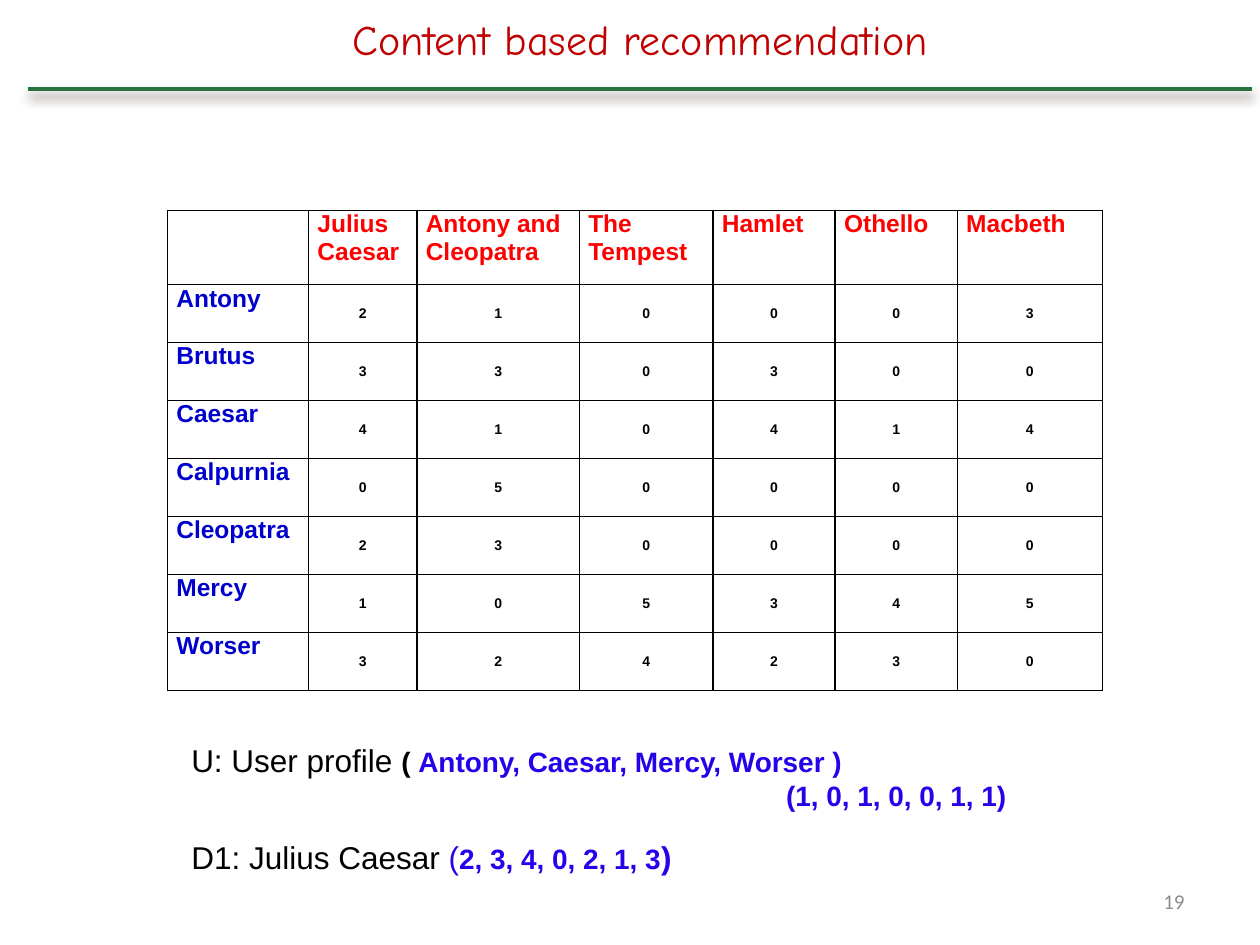
"""Build the content based recommendation slide."""
from dataclasses import dataclass
from typing import Sequence

from lxml.etree import SubElement
from pptx import Presentation
from pptx.dml.color import RGBColor
from pptx.enum.shapes import MSO_CONNECTOR as Connector
from pptx.enum.text import MSO_ANCHOR as Anchor, PP_ALIGN as Align
from pptx.oxml import parse_xml
from pptx.oxml.ns import nsdecls, qn
from pptx.util import Inches, Pt


@dataclass(frozen=True)
class Theme:
    body_font: str = "Arial"
    title_font: str = "Comic Neue"
    number_font: str = "Calibri"
    black: str = "000000"
    title: str = "C00000"
    play: str = "FF0000"
    term: str = "0000CC"
    vector: str = "2403EB"
    rule: str = "28723B"
    rule_shadow: str = "4E3B30"
    number: str = "8C8C8C"
    title_size: int = 24
    label_size: int = 18
    vector_size: int = 16
    heading_size: int = 14
    number_size: int = 12
    count_size: int = 8


THEME = Theme()


@dataclass(frozen=True)
class Span:
    text: str
    size: int
    color: str
    bold: bool = False
    font: str = THEME.body_font


@dataclass(frozen=True)
class Line:
    spans: Sequence[Span]
    align: Align = Align.LEFT
    indent: float = 0


@dataclass(frozen=True)
class TextBlock:
    left: float
    top: float
    width: float
    height: float
    lines: Sequence[Line]
    anchor: Anchor = Anchor.TOP


PLAYS = ("Julius Caesar", "Antony and Cleopatra", "The Tempest", "Hamlet", "Othello", "Macbeth")
COUNTS = {
    "Antony": (2, 1, 0, 0, 0, 3),
    "Brutus": (3, 3, 0, 3, 0, 0),
    "Caesar": (4, 1, 0, 4, 1, 4),
    "Calpurnia": (0, 5, 0, 0, 0, 0),
    "Cleopatra": (2, 3, 0, 0, 0, 0),
    "Mercy": (1, 0, 5, 3, 4, 5),
    "Worser": (3, 2, 4, 2, 3, 0),
}
COLUMN_WIDTHS = (1.12, 0.86, 1.29, 1.06, 0.97, 0.97, 1.15)
HEADER_HEIGHT, ROW_HEIGHT = 0.59, 0.46


def label(text: str, color: str = THEME.black) -> Span:
    """Return a plain label span."""
    return Span(text, THEME.label_size, color)


def vector(text: str, color: str = THEME.vector) -> Span:
    """Return a bold vector span."""
    return Span(text, THEME.vector_size, color, True)


TEXT_BLOCKS = (
    TextBlock(0.73, 0.06, 8.7, 0.5, [Line(
        [Span("Content based recommendation", THEME.title_size, THEME.title, font=THEME.title_font)],
        Align.CENTER)]),
    TextBlock(1.42, 5.83, 7.33, 0.67, [
        Line([label("U: User profile "), vector("( ", THEME.black),
              vector("Antony, Caesar, Mercy, Worser )")]),
        Line([vector("(1, 0, 1, 0, 0, 1, 1)")], indent=4.72)]),
    TextBlock(1.42, 6.6, 7.25, 0.4, [Line(
        [label("D1: Julius Caesar "), label("(", THEME.vector), vector("2, 3, 4, 0, 2, 1, 3"),
         Span(")", THEME.label_size, THEME.vector, True)])]),
    TextBlock(7.17, 6.95, 2.33, 0.4, [Line(
        [Span("19", THEME.number_size, THEME.number, font=THEME.number_font)],
        Align.RIGHT)], Anchor.MIDDLE),
)


def write_line(paragraph, line: Line) -> None:
    """Write the spans of one line into a paragraph."""
    paragraph.alignment = line.align
    if line.indent:
        paragraph._p.get_or_add_pPr().set("marL", str(Inches(line.indent)))
    for span in line.spans:
        run = paragraph.add_run()
        run.text = span.text
        run.font.name = span.font
        run.font.size = Pt(span.size)
        run.font.bold = span.bold
        run.font.color.rgb = RGBColor.from_string(span.color)


def add_text(slide, block: TextBlock) -> None:
    """Add a wrapped text box."""
    box = slide.shapes.add_textbox(*map(Inches, (block.left, block.top, block.width, block.height)))
    frame = box.text_frame
    frame.word_wrap = True
    frame.vertical_anchor = block.anchor
    for index, line in enumerate(block.lines):
        write_line(frame.add_paragraph() if index else frame.paragraphs[0], line)


def style_cell(cell) -> None:
    """Clear the fill of a cell, set its margins and draw its borders."""
    cell.fill.background()
    cell.margin_left = cell.margin_right = Inches(0.07)
    cell.margin_top = cell.margin_bottom = 0
    properties = cell._tc.get_or_add_tcPr()
    for index, side in enumerate(("lnL", "lnR", "lnT", "lnB")):
        properties.insert(index, parse_xml(
            f'<a:{side} {nsdecls("a")} w="{Pt(1)}"><a:solidFill>'
            f'<a:srgbClr val="{THEME.black}"/></a:solidFill></a:{side}>'))


def add_count_table(slide) -> None:
    """Add the table of term counts for each play."""
    height = HEADER_HEIGHT + ROW_HEIGHT * len(COUNTS)
    table = slide.shapes.add_table(
        len(COUNTS) + 1, len(COLUMN_WIDTHS), Inches(1.33), Inches(1.67),
        Inches(sum(COLUMN_WIDTHS)), Inches(height)).table
    table.first_row = table.horz_banding = False
    for column, width in zip(table.columns, COLUMN_WIDTHS):
        column.width = Inches(width)
    for index, row in enumerate(table.rows):
        row.height = Inches(ROW_HEIGHT if index else HEADER_HEIGHT)
    for cell in table.iter_cells():
        style_cell(cell)

    def write_cell(row: int, column: int, span: Span, align: Align = Align.LEFT) -> None:
        """Write one span into a table cell."""
        write_line(table.cell(row, column).text_frame.paragraphs[0], Line([span], align))

    for column, play in enumerate(PLAYS, 1):
        write_cell(0, column, Span(play, THEME.heading_size, THEME.play, True))
    for row, (term, counts) in enumerate(COUNTS.items(), 1):
        write_cell(row, 0, Span(term, THEME.heading_size, THEME.term, True))
        for column, count in enumerate(counts, 1):
            table.cell(row, column).vertical_anchor = Anchor.MIDDLE
            write_cell(row, column, Span(str(count), THEME.count_size, THEME.black, True), Align.CENTER)


def add_title_rule(slide) -> None:
    """Add the shadowed rule under the title."""
    rule = slide.shapes.add_connector(
        Connector.STRAIGHT, Inches(0.22), Inches(0.71), Inches(9.94), Inches(0.71))
    rule.line.width = Pt(2.25)
    rule.line.color.rgb = RGBColor.from_string(THEME.rule)
    effects = SubElement(rule._element.spPr, qn("a:effectLst"))
    shadow = SubElement(effects, qn("a:outerShdw"), blurRad=str(Pt(6)), dist=str(Pt(4)),
                        dir="5400000", rotWithShape="0")
    color = SubElement(shadow, qn("a:srgbClr"), val=THEME.rule_shadow)
    SubElement(color, qn("a:alpha"), val="60000")


def main() -> None:
    """Build and save the presentation."""
    presentation = Presentation()
    presentation.slide_width, presentation.slide_height = Inches(10), Inches(7.5)
    slide = presentation.slides.add_slide(presentation.slide_layouts[6])
    add_count_table(slide)
    for block in TEXT_BLOCKS:
        add_text(slide, block)
    add_title_rule(slide)
    presentation.save("out.pptx")


if __name__ == "__main__":
    main()
